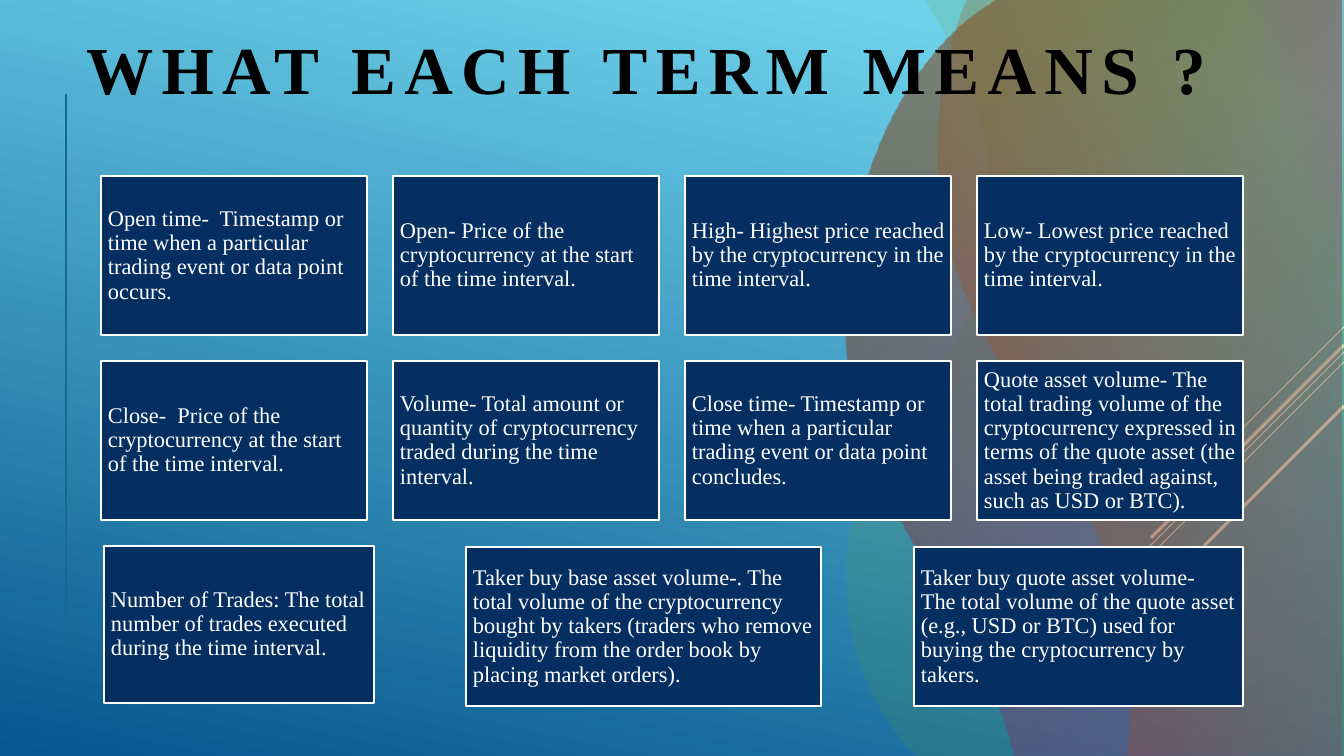
from lxml.etree import SubElement
from pptx import Presentation
from pptx.dml.color import RGBColor
from pptx.enum.shapes import MSO_CONNECTOR, MSO_SHAPE
from pptx.enum.text import MSO_ANCHOR, MSO_AUTO_SIZE, PP_ALIGN
from pptx.oxml.ns import qn
from pptx.util import Pt

PX = 914400 / 100.8
THEME = {
    "sky": [(10, "6ED2EB", 100), (100, "06588E", 100)],
    "green": [(0, "6A9E1F", 14), (100, "6A9E1F", 14)],
    "brown": [(4, "A50E82", 24), (79, "813C0F", 52)],
    "red": [(1, "C62324", 38), (84, "6A9E1F", 20), (100, "C62324", 3)],
    "card": RGBColor.from_string("052F61"),
    "white": RGBColor.from_string("FFFFFF"),
    "black": RGBColor.from_string("000000"),
    "rule": RGBColor.from_string("17698F"),
    "face": "Times New Roman",
    "title_size": Pt(48),
    "card_size": Pt(16),
}


def emu(*lengths):
    return [round(length * PX) for length in lengths]


def paint_gradient(fill, holder, stops, degrees=None):
    fill.solid()
    fill.fore_color.rgb = THEME["white"]
    solid = holder.find(".//" + qn("a:solidFill"))
    gradient = SubElement(solid.getparent(), qn("a:gradFill"), rotWithShape="1")
    stop_list = SubElement(gradient, qn("a:gsLst"))
    for position, colour, opacity in stops:
        stop = SubElement(stop_list, qn("a:gs"), pos=str(position * 1000))
        tone = SubElement(stop, qn("a:srgbClr"), val=colour)
        SubElement(tone, qn("a:alpha"), val=str(opacity * 1000))
    if degrees is None:
        circle = SubElement(gradient, qn("a:path"), path="circle")
        SubElement(circle, qn("a:fillToRect"), l="100000", t="100000", r="0", b="0")
    else:
        SubElement(gradient, qn("a:lin"), ang=str(degrees * 60000), scaled="0")
    solid.getparent().replace(solid, gradient)


prs = Presentation()
prs.slide_width, prs.slide_height = emu(1344, 756)
slide = prs.slides.add_slide(prs.slide_layouts[5])
shapes = slide.shapes
paint_gradient(slide.background.fill, slide.element, THEME["sky"], 102)

for x1, y1, x2, y2, width, colour in [
    (1344, 327, 1243, 428, 0.75, "white"),
    (1344, 352, 1015, 681, 0.75, "white"),
    (1344, 362, 1135, 571, 0.75, "white"),
    (1344, 345, 1151, 538, 2.25, "white"),
    (1344, 406, 1204, 546, 2.25, "white"),
    (66, 94, 66, 657, 0.75, "rule"),
]:
    streak = shapes.add_connector(MSO_CONNECTOR.STRAIGHT, *emu(x1, y1, x2, y2))
    streak.line.color.rgb = THEME[colour]
    streak.line.width = Pt(width)
    SubElement(streak.element.spPr, qn("a:effectLst"))

blobs = [
    ("green", 0, [(925, 0), (1344, 0), (1344, 756), (916, 756), (915, 755)], [
        [(877, 716), (845, 653), (846, 573)],
        [(847, 430), (988, 369), (991, 217)],
        [(993, 122), (958, 52), (927, 3)],
    ]),
    ("brown", None, [(996, 0), (1341, 0), (1341, 756), (1014, 756), (1009, 737)], [
        [(964, 588), (847, 496), (846, 325)],
        [(845, 166), (916, 55), (981, 10)],
    ]),
    ("red", 340, [(967, 0), (1344, 0), (1344, 756), (1127, 756), (1129, 727)], [
        [(1130, 714), (1130, 700), (1130, 686)],
        [(1126, 462), (939, 371), (938, 160)],
        [(937, 107), (946, 59), (960, 18)],
    ]),
]
for tint, degrees, corners, curves in blobs:
    outline = corners + [curve[-1] for curve in curves]
    builder = shapes.build_freeform(*outline[0], scale=PX)
    builder.add_line_segments(outline[1:], close=True)
    blob = builder.convert_to_shape()
    left_edge = min(x for x, y in outline)
    edges = blob.element.findall(".//" + qn("a:lnTo"))[len(corners) - 1:]
    for edge, curve in zip(edges, curves):
        bend = SubElement(edge.getparent(), qn("a:cubicBezTo"))
        for x, y in curve:
            SubElement(bend, qn("a:pt"), x=str(x - left_edge), y=str(y))
        edge.getparent().replace(edge, bend)
    blob.shadow.inherit = False
    blob.line.fill.background()
    paint_gradient(blob.fill, blob.element.spPr, THEME[tint], degrees)

title = shapes.title
title.element.getparent().append(title.element)
title.left, title.top, title.width, title.height = emu(76, 0, 1204, 136)
title.text_frame.text = "WHAT EACH TERM MEANS ?"
title.text_frame.auto_size = MSO_AUTO_SIZE.NONE
title.text_frame.vertical_anchor = MSO_ANCHOR.MIDDLE
heading = title.text_frame.paragraphs[0]
heading.alignment = PP_ALIGN.LEFT
heading_font = heading.runs[0].font
for name, value in {"name": THEME["face"], "size": THEME["title_size"], "bold": True}.items():
    setattr(heading_font, name, value)
heading_font.color.rgb = THEME["black"]
title.element.find(".//" + qn("a:rPr")).set("spc", "600")

terms = [
    "Open time-  Timestamp or time when a particular trading event or data point occurs.",
    "Open- Price of the cryptocurrency at the start of the time interval.",
    "High- Highest price reached by the cryptocurrency in the time interval.",
    "Low- Lowest price reached by the cryptocurrency in the time interval.",
    "Close-  Price of the cryptocurrency at the start of the time interval.",
    "Volume- Total amount or quantity of cryptocurrency traded during the time interval.",
    "Close time- Timestamp or time when a particular trading event or data point concludes.",
    "Quote asset volume- The total trading volume of the cryptocurrency expressed in terms of "
    "the quote asset (the asset being traded against, such as USD or BTC).",
    "Number of Trades: The total number of trades executed during the time interval.",
    "Taker buy base asset volume-. The total volume of the cryptocurrency bought by takers "
    "(traders who remove liquidity from the order book by placing market orders).",
    "Taker buy quote asset volume-  The total volume of the quote asset (e.g., USD or BTC) "
    "used for buying the cryptocurrency by takers.",
]
places = [(101 + 292 * column, 176 + 185 * row, 266, 159) for row in range(2) for column in range(4)]
places += [(104, 546, 270, 157), (466, 547, 355, 159), (914, 547, 329, 159)]
inset, right_inset = emu(7, 5)
frame_format = {
    "word_wrap": True,
    "vertical_anchor": MSO_ANCHOR.MIDDLE,
    "margin_left": inset,
    "margin_right": right_inset,
    "margin_top": inset,
    "margin_bottom": inset,
}
for term, place in zip(terms, places):
    card = shapes.add_shape(MSO_SHAPE.RECTANGLE, *emu(*place))
    card.shadow.inherit = False
    card.fill.solid()
    card.fill.fore_color.rgb = THEME["card"]
    card.line.color.rgb = THEME["white"]
    card.line.width = Pt(1.25)
    for name, value in frame_format.items():
        setattr(card.text_frame, name, value)
    card.text_frame.text = term
    meaning = card.text_frame.paragraphs[0]
    meaning.alignment = PP_ALIGN.LEFT
    meaning.line_spacing = 0.9
    meaning.font.name = THEME["face"]
    meaning.font.size = THEME["card_size"]
    meaning.font.color.rgb = THEME["white"]

prs.save("out.pptx")
